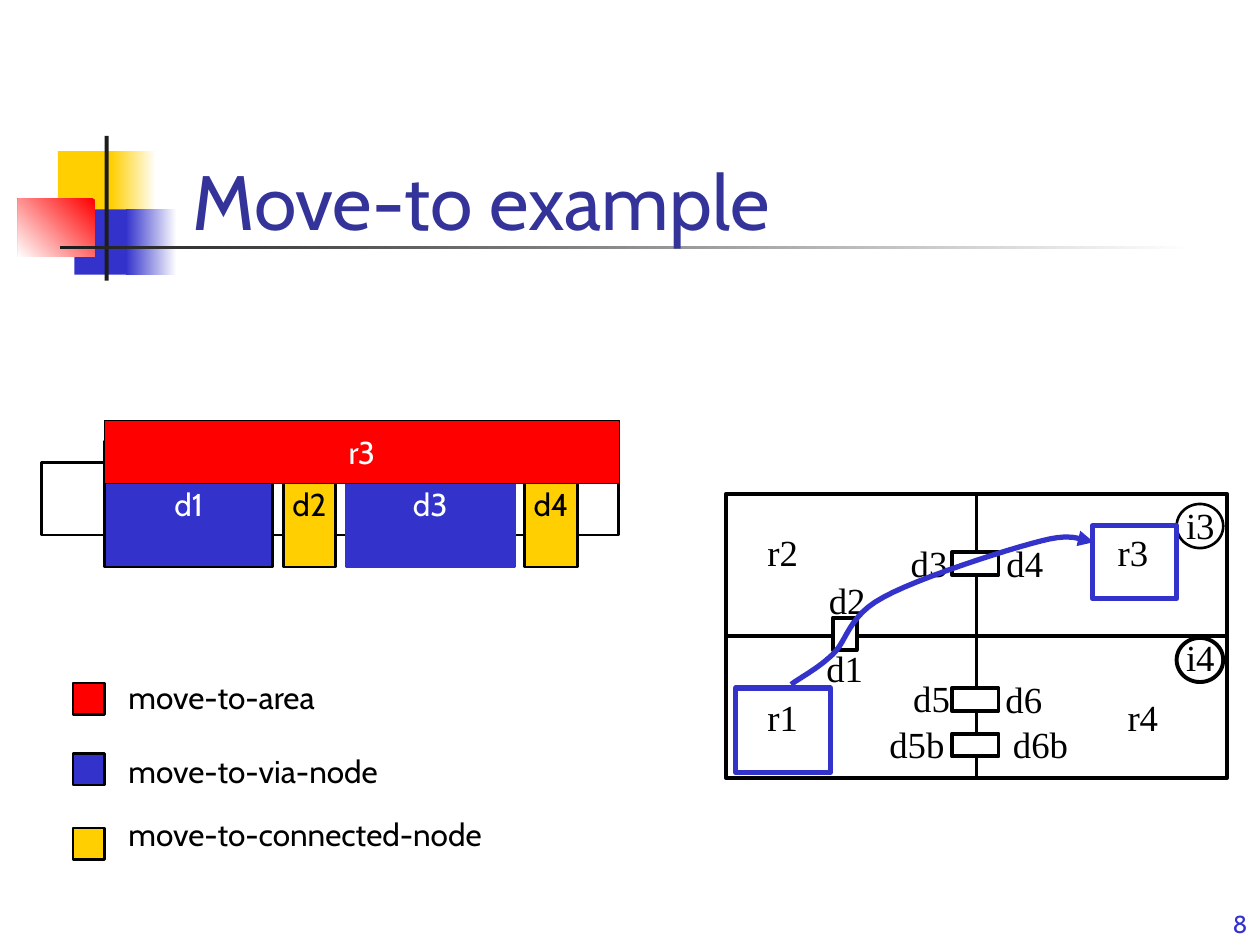
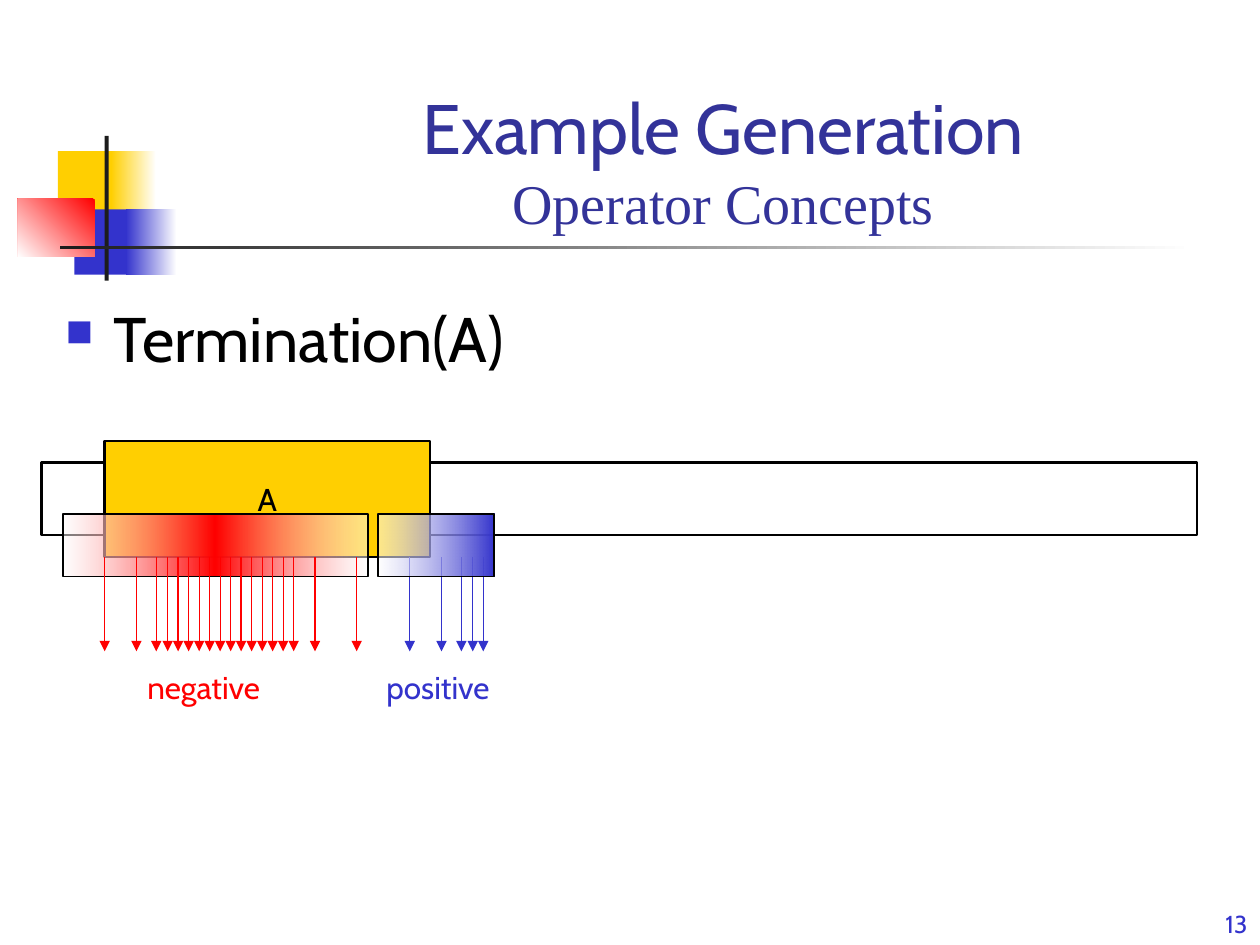
from lxml import etree
from pptx import Presentation
from pptx import oxml
from pptx import util as u
from pptx.dml.color import RGBColor
from pptx.enum import shapes, text
from pptx.oxml.ns import nsdecls, qn

Cm, Pt = u.Cm, u.Pt
RECT, OVAL = shapes.MSO_SHAPE.RECTANGLE, shapes.MSO_SHAPE.OVAL
LEFT, CENTER, RIGHT = text.PP_ALIGN.LEFT, text.PP_ALIGN.CENTER, text.PP_ALIGN.RIGHT
TOP, MIDDLE, BOTTOM = text.MSO_ANCHOR.TOP, text.MSO_ANCHOR.MIDDLE, text.MSO_ANCHOR.BOTTOM
SANS, SERIF = "Cabin", "Times New Roman"
BLACK, WHITE, INK, NAVY = "000000", "FFFFFF", "1C1C1C", "333399"
YELLOW, BLUE, RED = "FFCF01", "3333CC", "FF0000"


def rgb(value):
    """Turn a hex string into a colour."""
    return RGBColor.from_string(value)


def gradient(angle, *stops):
    """Return a gradient fill of (position, colour, opacity) stops in percent."""
    gs = "".join(
        f'<a:gs pos="{pos * 1000}"><a:srgbClr val="{color}">'
        f'<a:alpha val="{opacity * 1000}"/></a:srgbClr></a:gs>'
        for pos, color, opacity in stops)
    return oxml.parse_xml(
        f'<a:gradFill {nsdecls("a")}><a:gsLst>{gs}</a:gsLst>'
        f'<a:lin ang="{angle * 60000}" scaled="0"/></a:gradFill>')


def fade(color):
    """Return a fill that runs from a colour at the left to white."""
    return gradient(180, (0, WHITE, 100), (100, color, 100))


def style(sp, fill=None, line=None, width=1.5):
    """Set fill and outline of a shape and drop its shadow."""
    sp.shadow.inherit = False
    if isinstance(fill, str):
        sp.fill.solid()
        sp.fill.fore_color.rgb = rgb(fill)
    else:
        sp.fill.background()
        if fill is not None:
            spPr = sp._element.spPr
            spPr.replace(spPr.find(qn("a:noFill")), fill)
    if line:
        sp.line.color.rgb = rgb(line)
        sp.line.width = Pt(width)
    else:
        sp.line.fill.background()


def set_font(font, size, color, name=SANS):
    """Set size, colour and typeface of a font."""
    font.size, font.name = Pt(size), name
    font.color.rgb = rgb(color)


def add_box(parent, x, y, w, h, fill=None, line=None, width=1.5, kind=RECT,
            label=None, color=BLACK):
    """Add a preset shape, with a centred label if one is given."""
    sp = parent.shapes.add_shape(kind, Cm(x), Cm(y), Cm(w), Cm(h))
    style(sp, fill, line, width)
    if label:
        tf = sp.text_frame
        tf.word_wrap, tf.vertical_anchor = False, MIDDLE
        p = tf.paragraphs[0]
        p.text, p.alignment = label, CENTER
        set_font(p.font, 18, color)
    return sp


def add_text(parent, x, y, w, h, words, size, color=BLACK, name=SANS,
             align=LEFT, anchor=TOP, inset=True):
    """Add a one-paragraph text box and return its paragraph."""
    tf = parent.shapes.add_textbox(Cm(x), Cm(y), Cm(w), Cm(h)).text_frame
    tf.word_wrap, tf.vertical_anchor = True, anchor
    if not inset:
        tf.margin_left = tf.margin_right = tf.margin_top = tf.margin_bottom = 0
    p = tf.paragraphs[0]
    p.text, p.alignment = words, align
    set_font(p.font, size, color, name)
    return p


def add_arrowhead(sp):
    """Put a triangle at the end of a line."""
    ln = sp._element.spPr.find(qn("a:ln"))
    etree.SubElement(ln, qn("a:tailEnd"), type="triangle")


def add_line(parent, x1, y1, x2, y2, color, width, arrow=False):
    """Add a straight connector without a shadow."""
    c = parent.shapes.add_connector(
        shapes.MSO_CONNECTOR.STRAIGHT, Cm(x1), Cm(y1), Cm(x2), Cm(y2))
    c.line.color.rgb = rgb(color)
    c.line.width = Pt(width)
    if arrow:
        add_arrowhead(c)
    etree.SubElement(c._element.spPr, qn("a:effectLst"))
    return c


def add_ornament(s, x, y):
    """Draw the coloured squares and crossing rules beside the title."""
    for dx, dy, w, h, fill in (
            (0.81, 0.31, 1.22, 1.32, YELLOW),
            (1.88, 0.31, 0.91, 1.32, fade(YELLOW)),
            (1.14, 1.48, 1.17, 1.32, BLUE),
            (2.18, 1.48, 1.02, 1.32, fade(BLUE)),
            (0, 1.27, 1.55, 1.17, gradient(135, (0, RED, 100), (100, WHITE, 100))),
            (1.75, 0, 0.08, 2.92, INK),
            (0.86, 2.21, 22.86, 0.08, fade(INK))):
        add_box(s, x + dx, y + dy, w, h, fill)


def new_slide(prs, number):
    """Add a slide with the shared ornament and page number."""
    s = prs.slides.add_slide(prs.slide_layouts[6])
    add_ornament(s, 0.36, 2.74)
    add_text(s, 20.12, 17.78, 5.28, 1.27, str(number), 14, BLUE,
             align=RIGHT, anchor=BOTTOM)
    return s


def add_move_timeline(s, x, y):
    """Draw the door steps on a track, under the bar of the target room."""
    add_box(s, x, y + 0.85, 11.63, 1.47, WHITE, BLACK)
    left = x + 1.27
    for label, w, fill, line, color in (
            ("d1", 3.39, BLUE, BLACK, WHITE), ("d2", 1.06, YELLOW, BLACK, BLACK),
            ("d3", 3.39, BLUE, BLUE, WHITE), ("d4", 1.06, YELLOW, BLACK, BLACK)):
        add_box(s, left, y + 0.42, w, 2.54, fill, line, label=label, color=color)
        left += w + 0.21
    add_box(s, x + 1.27, y, 10.37, 1.27, RED, BLACK, 0.25, label="r3", color=WHITE)


def add_legend(s, x, y):
    """Explain the colours of the timeline."""
    for swatch_y, label_y, fill, label in (
            (0.23, 0, RED, "move-to-area"),
            (1.65, 1.5, BLUE, "move-to-via-node"),
            (3.15, 2.77, YELLOW, "move-to-connected-node")):
        add_box(s, x, y + swatch_y, 0.64, 0.64, fill, BLACK)
        add_text(s, x + 0.87, y + label_y, 8.69, 1.02, label, 18)


def add_floor_plan(s, x, y):
    """Draw the rooms, walls and doors, and their names."""
    g = s.shapes.add_group_shape()
    outer = add_box(g, x, y, 10.11, 5.72, WHITE, BLACK, 2.25)
    for start, end in ((0, 2), (1, 3)):
        wall = add_line(g, x, y, x + 10.11, y + 5.72, BLACK, 2.25)
        wall.begin_connect(outer, start)
        wall.end_connect(outer, end)
    for dy in (1.17, 3.91, 4.83):
        add_box(g, x + 4.56, y + dy, 0.94, 0.46, WHITE, BLACK, 2.25)
    add_box(g, x + 2.16, y + 2.49, 0.48, 0.66, WHITE, BLACK, 2.25)
    for dy, width in ((0.2, 1.5), (2.9, 2.25)):
        add_box(g, x + 9.09, y + dy, 0.94, 0.89, None, BLACK, width, OVAL)
    for label, dx, dy in (
            ("r1", 0.84, 4.04), ("r2", 0.84, 0.71), ("r3", 7.9, 0.71),
            ("r4", 8.1, 4.04), ("d1", 2.03, 3.05), ("d2", 2.08, 1.68),
            ("d3", 3.73, 0.94), ("d4", 5.66, 0.94), ("d5", 3.78, 3.66),
            ("d6", 5.64, 3.68), ("d5b", 3.3, 4.6), ("d6b", 5.79, 4.6),
            ("i3", 9.28, 0.18), ("i4", 9.28, 2.84)):
        add_text(g, x + dx, y + dy, 0.38 * len(label), 0.89, label, 21,
                 name=SERIF, inset=False)


def bezier(a, b, c, d, steps=12):
    """Return points along a cubic curve, without its start."""
    ts = [i / steps for i in range(1, steps + 1)]
    return [tuple((1 - t) ** 3 * k + 3 * (1 - t) ** 2 * t * m
                  + 3 * (1 - t) * t * t * n + t ** 3 * o
                  for k, m, n, o in zip(a, b, c, d)) for t in ts]


def add_route(s, x, y):
    """Draw the curved route and frame its first and last room."""
    knots = [(1.32, 3.84), (1.45, 3.73), (1.85, 3.53), (2.16, 3.23),
             (2.46, 2.95), (2.46, 2.46), (3.18, 2.08),
             (3.86, 1.7), (5.66, 1.12), (6.38, 0.94),
             (7.09, 0.76), (7.19, 0.97), (7.42, 0.97)]
    points = knots[:1]
    for i in range(0, len(knots) - 1, 3):
        points += bezier(*knots[i:i + 4])
    points = [(Cm(x + dx), Cm(y + dy)) for dx, dy in points]
    builder = s.shapes.build_freeform(*points[0])
    builder.add_line_segments(points[1:], close=False)
    sp = builder.convert_to_shape()
    style(sp, None, BLUE, 3)
    add_arrowhead(sp)
    add_box(s, x + 7.39, y + 0.64, 1.7, 1.47, None, BLUE, 3)
    add_box(s, x + 0.2, y + 3.91, 1.91, 1.7, None, BLUE, 3)


def add_arrow_fan(s, x, y, offsets, color):
    """Draw a group of sample arrows pointing down."""
    g = s.shapes.add_group_shape()
    for dx in offsets:
        add_line(g, x + dx, y, x + dx, y + 1.9, color, 0.75, arrow=True)


def add_sample_timeline(s, x, y):
    """Draw action A on its track with negative and positive samples."""
    offsets = [0, 0.64, 1.04, *(1.27 + 2.54 * i / 12 for i in range(13)), 4.24, 5.08]
    add_box(s, x, y + 0.43, 23.29, 1.47, WHITE, BLACK)
    add_box(s, x + 1.27, y, 6.56, 2.34, YELLOW, BLACK, label="A")
    add_arrow_fan(s, x + 7.42, y + 2.34, offsets[:5], BLUE)
    negative = gradient(180, (0, WHITE, 49), (50, RED, 100), (100, WHITE, 49))
    positive = gradient(180, (0, BLUE, 100), (100, WHITE, 53))
    add_box(s, x + 0.43, y + 1.47, 6.15, 1.27, negative, BLACK, 0.75)
    add_box(s, x + 6.78, y + 1.47, 2.34, 1.27, positive, BLACK, 0.75)
    add_arrow_fan(s, x + 1.27, y + 2.34, offsets, RED)
    add_text(s, x + 1.88, y + 4.45, 3.07, 1.02, "negative", 18, RED)
    add_text(s, x + 6.7, y + 4.45, 2.82, 1.02, "positive", 18, BLUE)


def add_bullet(s, x, y, words):
    """Add a line of body text with a square bullet."""
    p = add_text(s, x, y, 21.59, 1.9, "", 36)
    pPr = p._p.get_or_add_pPr()
    pPr.set("marL", str(Cm(0.97)))
    pPr.set("indent", str(-Cm(0.97)))
    marks = oxml.parse_xml(
        f'<a:pPr {nsdecls("a")}><a:buClr><a:srgbClr val="{BLUE}"/></a:buClr>'
        '<a:buSzPct val="60000"/><a:buChar char="■"/></a:pPr>')
    for i, mark in enumerate(list(marks)):
        pPr.insert(i, mark)
    p.add_run().text = words


def move_slide(prs):
    """Build the slide on the move-to example."""
    s = new_slide(prs, 8)
    add_text(s, 3.63, 1.02, 21.64, 4.06, "Move-to example", 44, NAVY, anchor=BOTTOM)
    add_move_timeline(s, 0.84, 8.47)
    add_legend(s, 1.47, 13.54)
    add_floor_plan(s, 14.63, 9.96)
    add_route(s, 14.63, 9.96)


def generation_slide(prs):
    """Build the slide on example generation."""
    s = new_slide(prs, 13)
    p = add_text(s, 3.76, 1.7, 21.64, 3.18, "Example Generation", 40, NAVY,
                 align=CENTER, anchor=BOTTOM)
    p.add_line_break()
    r = p.add_run()
    r.text = "Operator Concepts"
    set_font(r.font, 32, NAVY, SERIF)
    add_bullet(s, 1.07, 5.92, "Termination(A)")
    add_sample_timeline(s, 0.84, 8.89)


def main():
    """Build and save the presentation."""
    prs = Presentation()
    prs.slide_width, prs.slide_height = Cm(25.4), Cm(19.05)
    move_slide(prs)
    generation_slide(prs)
    prs.save("out.pptx")


if __name__ == "__main__":
    main()
